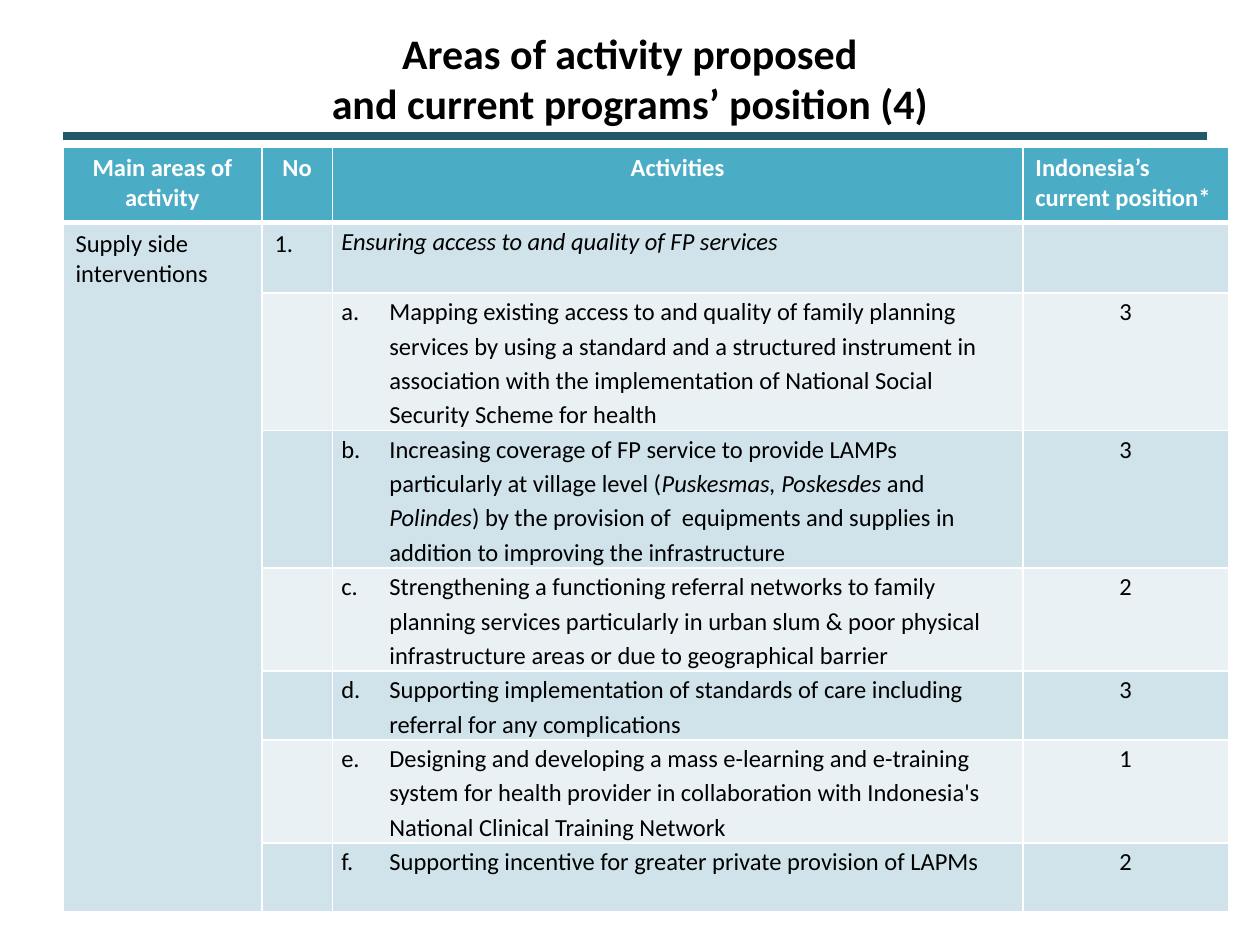
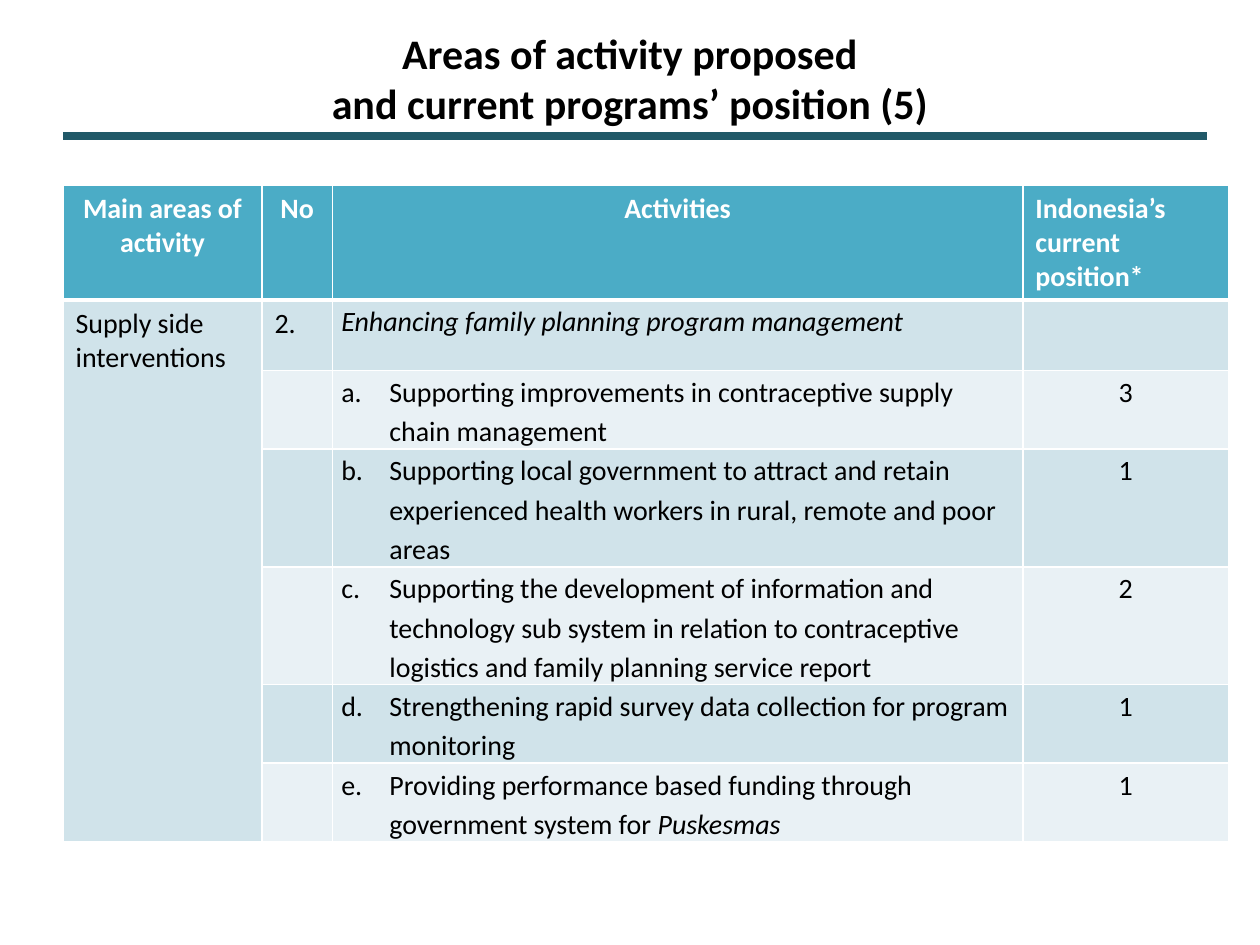
from lxml.etree import SubElement
from pptx import Presentation
from pptx.dml.color import RGBColor
from pptx.enum.shapes import MSO_CONNECTOR as Connector
from pptx.enum.text import MSO_ANCHOR as Anchor, PP_ALIGN as Align
from pptx.oxml.ns import qn
from pptx.util import Cm, Pt

FONT = "Calibri"
BLACK, WHITE = "000000", "FFFFFF"
RULE = "215968"
HEADER = "4BACC6"
BANDS = ("D0E3EA", "E9F1F5")

LEFT = 1.27
COLUMN_WIDTHS = (4.01, 1.42, 13.92, 4.14)
COLUMN_TITLES = ("Main areas of activity", "No", "Activities", "Indonesia’s current position*")
AREA = "Supply side interventions"
HEADING_HEIGHT = 1.42
LINE_SPACING = 1.15
HANGING_INDENT = Cm(0.97)

ACCESS_ACTIVITIES = [
    ("Mapping existing access to and quality of family planning services by using a standard "
     "and a structured instrument in association with the implementation of National Social "
     "Security Scheme for health", 3, 4),
    ("Increasing coverage of FP service to provide LAMPs particularly at village level "
     "(_Puskesmas, Poskesdes_ and _Polindes_) by the provision of  equipments and supplies in "
     "addition to improving the infrastructure", 3, 4),
    ("Strengthening a functioning referral networks to family planning services particularly in "
     "urban slum & poor physical infrastructure areas or due to geographical barrier", 2, 3),
    ("Supporting implementation of standards of care including referral for any complications",
     3, 2),
    ("Designing and developing a mass e-learning and e-training system for health provider in "
     "collaboration with Indonesia's National Clinical Training Network", 1, 3),
    ("Supporting incentive for greater private provision of LAPMs", 2, 2),
]

MANAGEMENT_ACTIVITIES = [
    ("Supporting improvements in contraceptive supply chain management", 3, 2),
    ("Supporting local government to attract and retain experienced health workers in rural, "
     "remote and poor areas", 1, 3),
    ("Supporting the development of information and technology sub system in relation to "
     "contraceptive logistics and family planning service report", 2, 3),
    ("Strengthening rapid survey data collection for program monitoring", 1, 2),
    ("Providing performance based funding through government system for _Puskesmas_", 1, 2),
]


def color(value):
    return RGBColor.from_string(value)


def add_run(paragraph, text, size, text_color=BLACK, bold=False, italic=False):
    run = paragraph.add_run()
    run.text = text
    font = run.font
    font.name, font.size, font.bold, font.italic = FONT, Pt(size), bold, italic
    font.color.rgb = color(text_color)


def add_title(slide, number):
    box = slide.shapes.add_textbox(Cm(LEFT), Cm(0.43), Cm(22.86), Cm(1.98))
    frame = box.text_frame
    frame.word_wrap = True
    frame.vertical_anchor = Anchor.TOP
    paragraph = frame.paragraphs[0]
    paragraph.alignment = Align.CENTER
    add_run(paragraph, "Areas of activity proposed", 24, bold=True)
    paragraph.add_line_break()
    add_run(paragraph, f"and current programs’ position ({number})", 24, bold=True)


def add_rule(slide):
    line = slide.shapes.add_connector(Connector.STRAIGHT, Cm(LEFT), Cm(2.74), Cm(24.33), Cm(2.74))
    line.line.color.rgb = color(RULE)
    line.line.width = Pt(4.5)
    SubElement(line._element.spPr, qn("a:effectLst"))


def style_cell(cell, fill, top=1, bottom=1):
    properties = cell._tc.get_or_add_tcPr()
    for side, width in (("L", 1), ("R", 1), ("T", top), ("B", bottom)):
        border = SubElement(properties, qn(f"a:ln{side}"), w=str(Pt(width)))
        SubElement(SubElement(border, qn("a:solidFill")), qn("a:srgbClr"), val=WHITE)
    cell.fill.solid()
    cell.fill.fore_color.rgb = color(fill)


def write_cell(cell, text, size, align=Align.LEFT, text_color=BLACK, bold=False):
    paragraph = cell.text_frame.paragraphs[0]
    paragraph.alignment = align
    for index, part in enumerate(text.split("_")):
        if part:
            add_run(paragraph, part, size, text_color, bold, italic=index % 2 == 1)
    return paragraph


def write_tight_cell(cell, text, size, align=Align.LEFT):
    cell.margin_left = cell.margin_right = Cm(0.18)
    cell.margin_top = cell.margin_bottom = 0
    paragraph = write_cell(cell, text, size, align)
    paragraph.line_spacing = LINE_SPACING
    return paragraph


def letter_paragraph(paragraph, position):
    properties = paragraph._p.get_or_add_pPr()
    properties.set("marL", str(HANGING_INDENT))
    properties.set("indent", str(-HANGING_INDENT))
    SubElement(properties, qn("a:buFont"), typeface="+mj-lt")
    SubElement(properties, qn("a:buAutoNum"), type="alphaLcPeriod", startAt=str(position))


def add_activity_table(slide, top, size, header_height, number, heading, activities):
    line_height = size * 1.22 * LINE_SPACING / 72 * 2.54
    heights = [header_height, HEADING_HEIGHT]
    heights += [lines * line_height for _, _, lines in activities]
    frame = slide.shapes.add_table(len(heights), len(COLUMN_WIDTHS), Cm(LEFT), Cm(top),
                                   Cm(sum(COLUMN_WIDTHS)), Cm(sum(heights)))
    table = frame.table
    for column, width in zip(table.columns, COLUMN_WIDTHS):
        column.width = Cm(width)
    for row, height in zip(table.rows, heights):
        row.height = Cm(height)

    for index, title in enumerate(COLUMN_TITLES):
        cell = table.cell(0, index)
        style_cell(cell, HEADER, bottom=3)
        align = Align.LEFT if title == COLUMN_TITLES[-1] else Align.CENTER
        write_cell(cell, title, size, align, WHITE, bold=True)

    for row in range(1, len(heights)):
        for column in range(len(COLUMN_WIDTHS)):
            fill = BANDS[0] if column == 0 else BANDS[(row - 1) % 2]
            style_cell(table.cell(row, column), fill, top=3 if row == 1 else 1)

    table.cell(1, 0).merge(table.cell(len(heights) - 1, 0))
    write_cell(table.cell(1, 0), AREA, size)
    write_cell(table.cell(1, 1), f"{number}.", size)
    write_tight_cell(table.cell(1, 2), f"_{heading}_", size)
    for position, (text, score, _) in enumerate(activities, start=1):
        paragraph = write_tight_cell(table.cell(position + 1, 2), text, size)
        letter_paragraph(paragraph, position)
        write_tight_cell(table.cell(position + 1, 3), str(score), size, Align.CENTER)


def add_activity_slide(presentation, slide_number, **table_options):
    slide = presentation.slides.add_slide(presentation.slide_layouts[6])
    add_title(slide, slide_number)
    add_activity_table(slide, **table_options)
    add_rule(slide)


def main():
    presentation = Presentation()
    presentation.slide_width, presentation.slide_height = Cm(25.4), Cm(19.05)
    add_activity_slide(presentation, 4, top=2.97, size=14, header_height=1.52, number=1,
                       heading="Ensuring access to and quality of FP services",
                       activities=ACCESS_ACTIVITIES)
    add_activity_slide(presentation, 5, top=3.73, size=16, header_height=2.32, number=2,
                       heading="Enhancing family planning program management",
                       activities=MANAGEMENT_ACTIVITIES)
    presentation.save("out.pptx")


if __name__ == "__main__":
    main()
